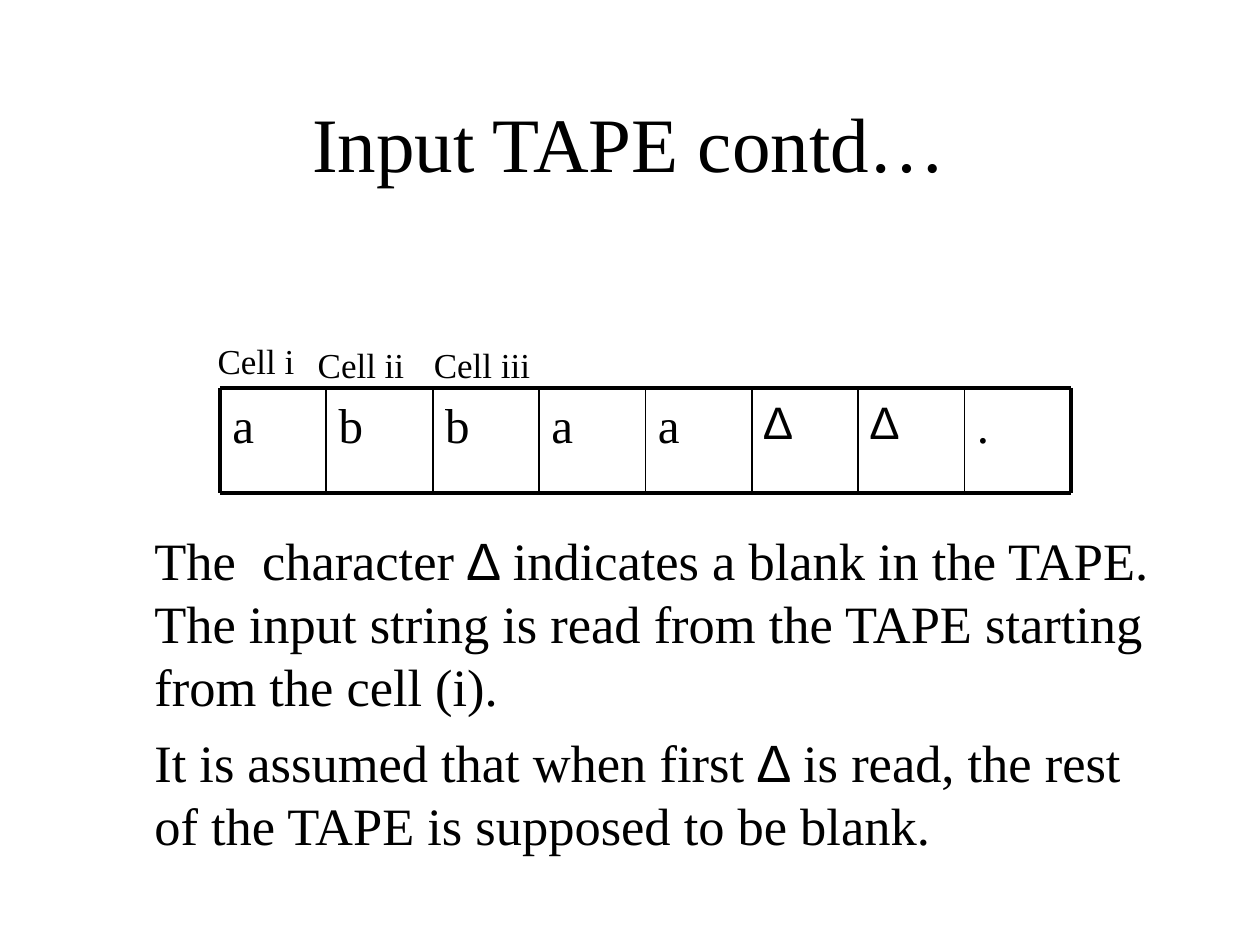
from pptx import Presentation
from pptx.dml.color import RGBColor
from pptx.enum.shapes import MSO_CONNECTOR as Conn
from pptx.enum.text import MSO_ANCHOR as Anchor, PP_ALIGN as Align
from pptx.oxml.ns import qn
from pptx.util import Emu, Pt
from lxml.etree import SubElement

PX = 914400 // 126
SERIF, SANS = "Times New Roman", "Arial"
BLACK = "000000"


def px(n):
    return Emu(round(n * PX))


def tint(color, code):
    color.rgb = RGBColor.from_string(code)


def add_text(slide, box, paras, size, align=Align.LEFT, anchor=Anchor.TOP, gap=0):
    """Each paragraph is a list of (text, font) runs."""
    frame = slide.shapes.add_textbox(*map(px, box)).text_frame
    frame.word_wrap = True
    frame.vertical_anchor = anchor
    for i, runs in enumerate(paras):
        para = frame.add_paragraph() if i else frame.paragraphs[0]
        para.alignment = align
        if i:
            para.space_before = Pt(gap)
        for text, face in runs:
            run = para.add_run()
            run.text = text
            run.font.name = face
            run.font.size = Pt(size)
            tint(run.font.color, BLACK)


def add_line(slide, x1, y1, x2, y2, width):
    line = slide.shapes.add_connector(Conn.STRAIGHT, *map(px, (x1, y1, x2, y2)))
    line.line.width = Pt(width)
    tint(line.line.color, BLACK)
    SubElement(line._element.spPr, qn("a:effectLst"))


def add_title(slide, box):
    add_text(slide, box, [[("Input TAPE contd…", SERIF)]], 44,
             Align.CENTER, Anchor.MIDDLE)


def add_tape(slide, box, marks):
    x, y, w, h = box
    step = w / len(marks)
    # Symbols
    for i, mark in enumerate(marks):
        face, size = (SANS, 26) if mark == "∆" else (SERIF, 28)
        add_text(slide, (x + i * step, y, step, h), [[(mark, face)]], size)
    # Thick frame, thin dividers
    for edge in (y, y + h):
        add_line(slide, x, edge, x + w, edge, 2.25)
    for i in range(len(marks) + 1):
        side = x + i * step
        add_line(slide, side, y, side, y + h, 2.25 if i in (0, len(marks)) else 1)


def add_labels(slide, box, labels):
    x, y, w, h = box
    for text, dx, dy in labels:
        add_text(slide, (x + dx, y + dy, w, h), [[(text, SERIF)]], 20, Align.CENTER)


def add_notes(slide, box):
    add_text(slide, box, [
        [("The  character ", SERIF), ("∆", SANS),
         (" indicates a blank in the TAPE. The input string is read "
          "from the TAPE starting from the cell (i).", SERIF)],
        [("It is assumed that when first ", SERIF), ("∆", SANS),
         (" is read, the rest of the TAPE is supposed to be blank.", SERIF)],
    ], 30, gap=7.5)


def main():
    deck = Presentation()
    deck.slide_width, deck.slide_height = px(1260), px(945)
    slide = deck.slides.add_slide(deck.slide_layouts[6])
    add_title(slide, (94, 63, 1071, 158))
    add_notes(slide, (142, 522, 1024, 340))
    add_tape(slide, (220, 388, 851, 105), "abbaa∆∆.")
    add_labels(slide, (132, 333, 248, 52),
               [("Cell i", 0, 0), ("Cell ii", 105, 4), ("Cell iii", 226, 4)])
    deck.save("out.pptx")


if __name__ == "__main__":
    main()
